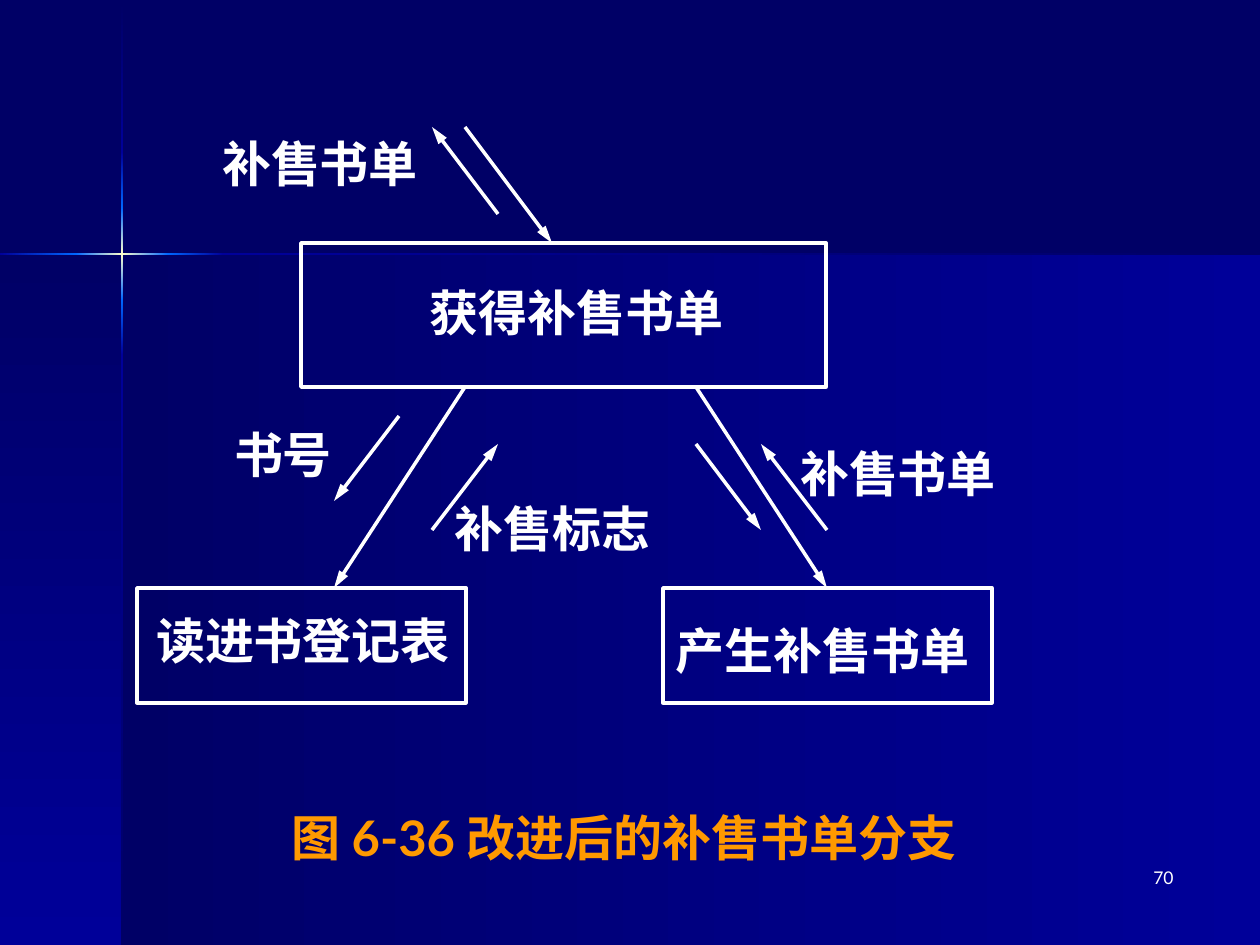
from lxml.etree import SubElement
from pptx import Presentation
from pptx.dml.color import RGBColor
from pptx.enum.shapes import MSO_CONNECTOR, MSO_SHAPE
from pptx.enum.text import PP_ALIGN
from pptx.oxml import parse_xml
from pptx.oxml.ns import nsdecls, qn
from pptx.util import Emu, Pt

WHITE = RGBColor(0xFF, 0xFF, 0xFF)
ORANGE = RGBColor(0xFF, 0x99, 0x00)
NAVY = RGBColor(0x00, 0x00, 0x66)
BLUE = RGBColor(0x00, 0x00, 0x99)
BRIGHT = RGBColor(0x00, 0x66, 0xFF)
CREAM = RGBColor(0xFF, 0xFF, 0xCC)
LATIN, CHINESE = "Lato", "Noto Sans CJK SC"
RIGHTWARD, DOWNWARD = 0, 90
LABEL_HEIGHT = 59

PANELS = [
    (122, 255, 1138, 690, RIGHTWARD, (NAVY, BLUE)),
    (0, 255, 122, 690, DOWNWARD, (NAVY, BLUE)),
]
VERTICAL_BEAM = [
    (1, 152, (NAVY, BLUE)),
    (355, 945, (BLUE, NAVY)),
    (300, 355, (BRIGHT, BLUE)),
    (152, 208, (BLUE, BRIGHT)),
    (208, 300, (BRIGHT, CREAM, BRIGHT)),
]
HORIZONTAL_BEAM = [
    (223, 1260, (BLUE, NAVY)),
    (0, 76, (BLUE, BRIGHT)),
    (168, 223, (BRIGHT, BLUE)),
    (76, 168, (BRIGHT, CREAM, BRIGHT)),
]
MODULES = [
    (301, 243, 525, 144, "获得补售书单", 365, 283, 423),
    (137, 588, 329, 115, "读进书登记表", 144, 611, 318),
    (663, 588, 329, 115, "产生补售书单", 669, 621, 307),
]
ARROWS = [
    (465, 127, 552, 243),
    (498, 214, 432, 127),
    (465, 387, 334, 588),
    (399, 416, 334, 501),
    (432, 530, 498, 444),
    (696, 387, 827, 588),
    (827, 530, 761, 444),
    (696, 444, 761, 530),
]
DATA_LABELS = [
    ("补售书单", 199, 134, 242),
    ("书号", 234, 425, 98),
    ("补售标志", 441, 499, 223),
    ("补售书单", 789, 444, 218),
]
CAPTION = [("图 6-36 ", LATIN), ("改进后的补售书单分支", CHINESE)]


def px(*lengths):
    return [Emu(round(length * 914400 / 126)) for length in lengths]


def add_rect(slide, *place):
    rect = slide.shapes.add_shape(MSO_SHAPE.RECTANGLE, *px(*place))
    rect.shadow.inherit = False
    return rect


def add_glow(slide, left, top, width, height, angle, colors):
    glow = add_rect(slide, left, top, width, height)
    glow.line.fill.background()
    stops = "".join(
        f'<a:gs pos="{100000 * i // (len(colors) - 1)}"><a:srgbClr val="{color}"/></a:gs>'
        for i, color in enumerate(colors)
    )
    gradient = parse_xml(
        f'<a:gradFill {nsdecls("a")}><a:gsLst>{stops}</a:gsLst>'
        f'<a:lin ang="{angle * 60000}" scaled="0"/></a:gradFill>'
    )
    glow._element.spPr.find(qn("a:prstGeom")).addnext(gradient)


def add_text(slide, runs, left, top, width, height=LABEL_HEIGHT, size=28,
             color=WHITE, bold=True, align=PP_ALIGN.CENTER, margins=(0, 0)):
    frame = slide.shapes.add_textbox(*px(left, top, width, height)).text_frame
    frame.word_wrap = True
    frame.margin_left = frame.margin_right = Pt(margins[0])
    frame.margin_top = frame.margin_bottom = Pt(margins[1])
    paragraph = frame.paragraphs[0]
    paragraph.alignment = align
    paragraph.font.size = Pt(size)
    paragraph.font.bold = bold
    paragraph.font.color.rgb = color
    for words, typeface in runs:
        run = paragraph.add_run()
        run.text = words
        run.font.name = typeface
        SubElement(run._r.get_or_add_rPr(), qn("a:ea"), typeface=CHINESE)


def add_arrow(slide, *ends):
    arrow = slide.shapes.add_connector(MSO_CONNECTOR.STRAIGHT, *px(*ends))
    arrow.line.color.rgb = WHITE
    arrow.line.width = Pt(2)
    SubElement(arrow.line._get_or_add_ln(), qn("a:tailEnd"),
               type="triangle", w="med", len="lg")
    SubElement(arrow._element.spPr, qn("a:effectLst"))


def main():
    deck = Presentation()
    deck.slide_width, deck.slide_height = px(1260, 945)
    slide = deck.slides.add_slide(deck.slide_layouts[6])
    slide.background.fill.solid()
    slide.background.fill.fore_color.rgb = NAVY

    for panel in PANELS:
        add_glow(slide, *panel)
    for start, end, colors in VERTICAL_BEAM:
        add_glow(slide, 121, start, 2, end - start, DOWNWARD, colors)
    for start, end, colors in HORIZONTAL_BEAM:
        add_glow(slide, start, 253, end - start, 2, RIGHTWARD, colors)

    add_text(slide, CAPTION, 272, 808, 704, color=ORANGE)
    for left, top, width, height, title, *title_place in MODULES:
        module = add_rect(slide, left, top, width, height)
        module.fill.background()
        module.line.color.rgb = WHITE
        module.line.width = Pt(2)
        add_text(slide, [(title, CHINESE)], *title_place)
    for arrow in ARROWS:
        add_arrow(slide, *arrow)
    for label, *label_place in DATA_LABELS:
        add_text(slide, [(label, CHINESE)], *label_place)
    add_text(slide, [("70", LATIN)], 924, 861, 262, 63, size=10, bold=False,
             align=PP_ALIGN.RIGHT, margins=(7.2, 3.6))
    deck.save("out.pptx")


if __name__ == "__main__":
    main()
